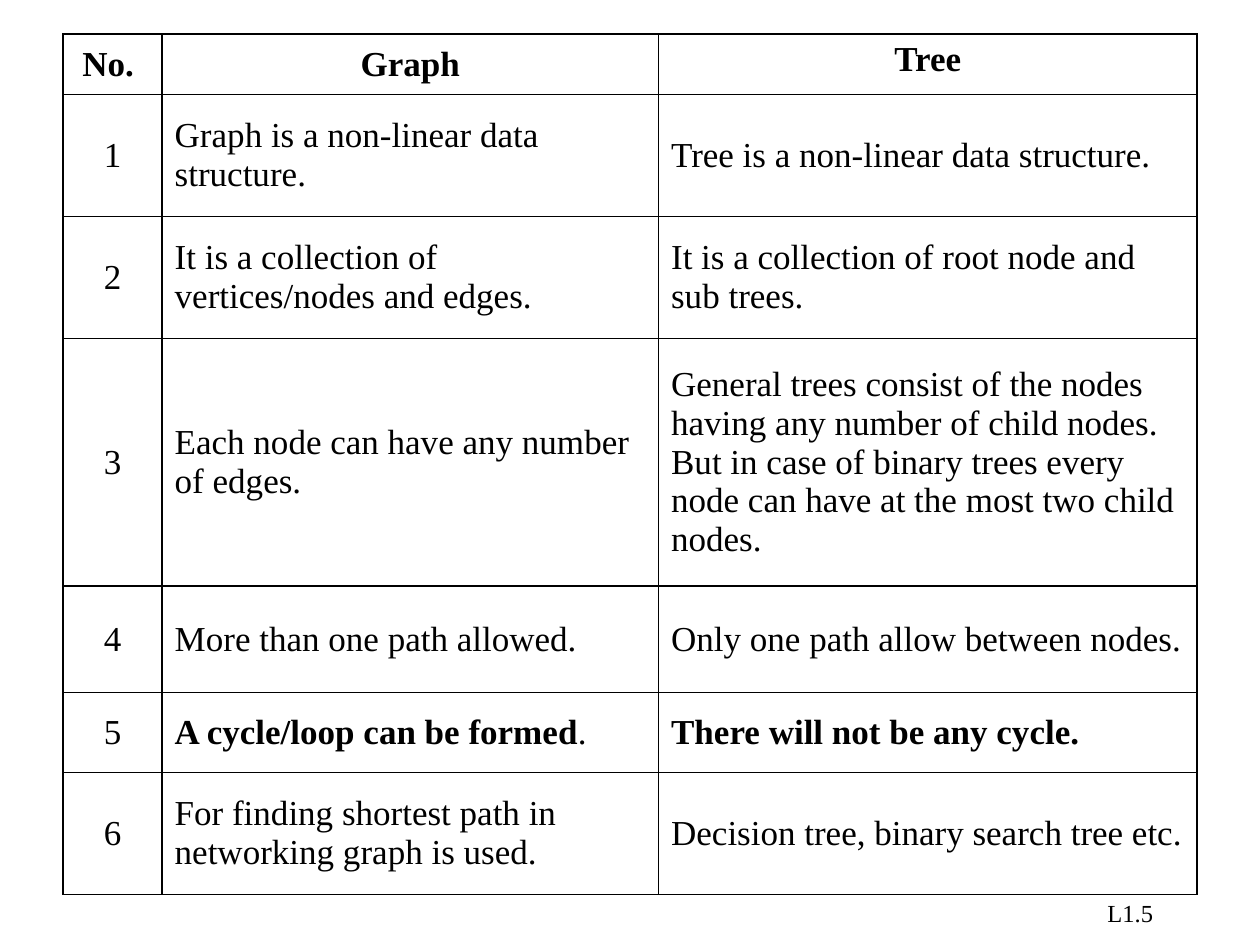
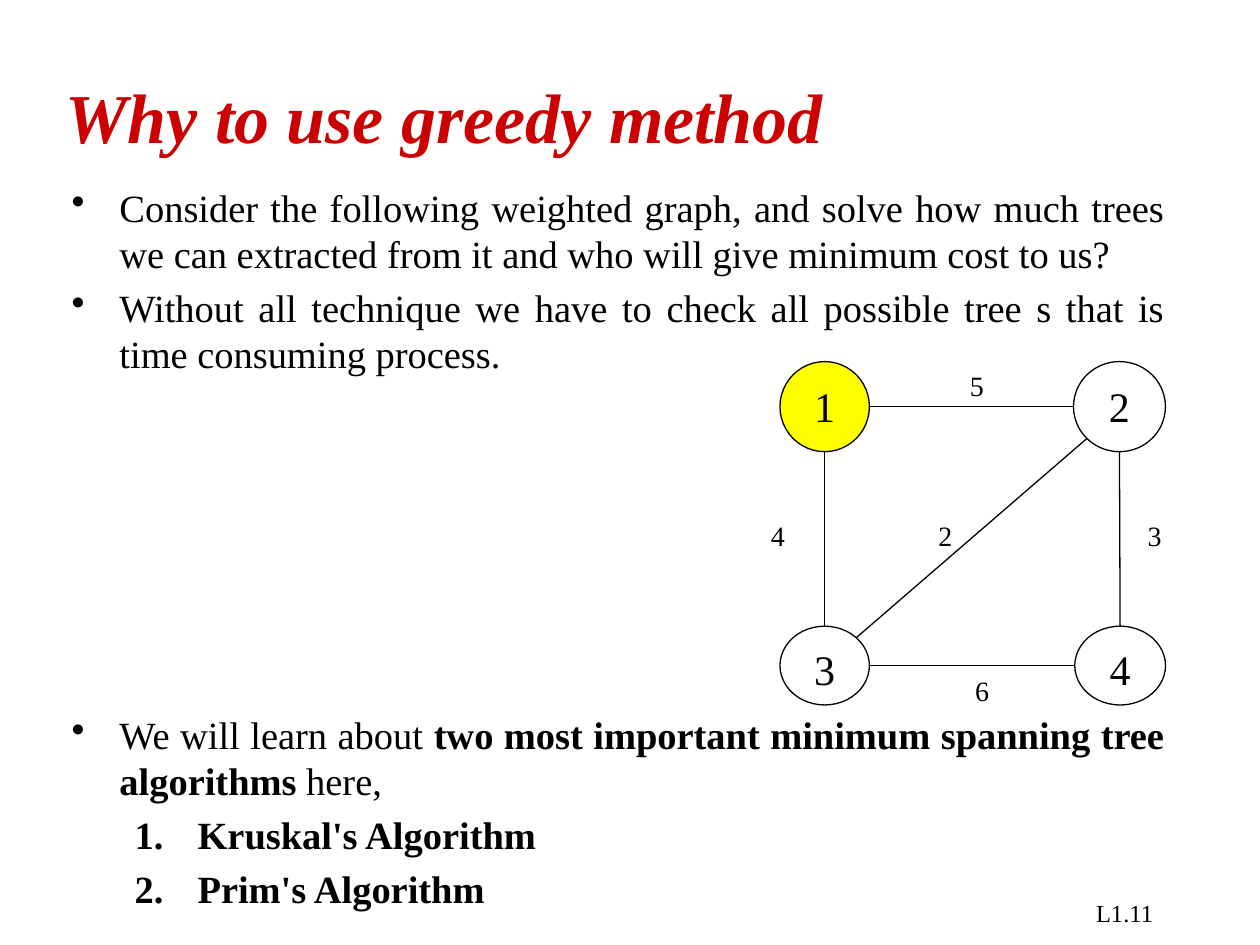
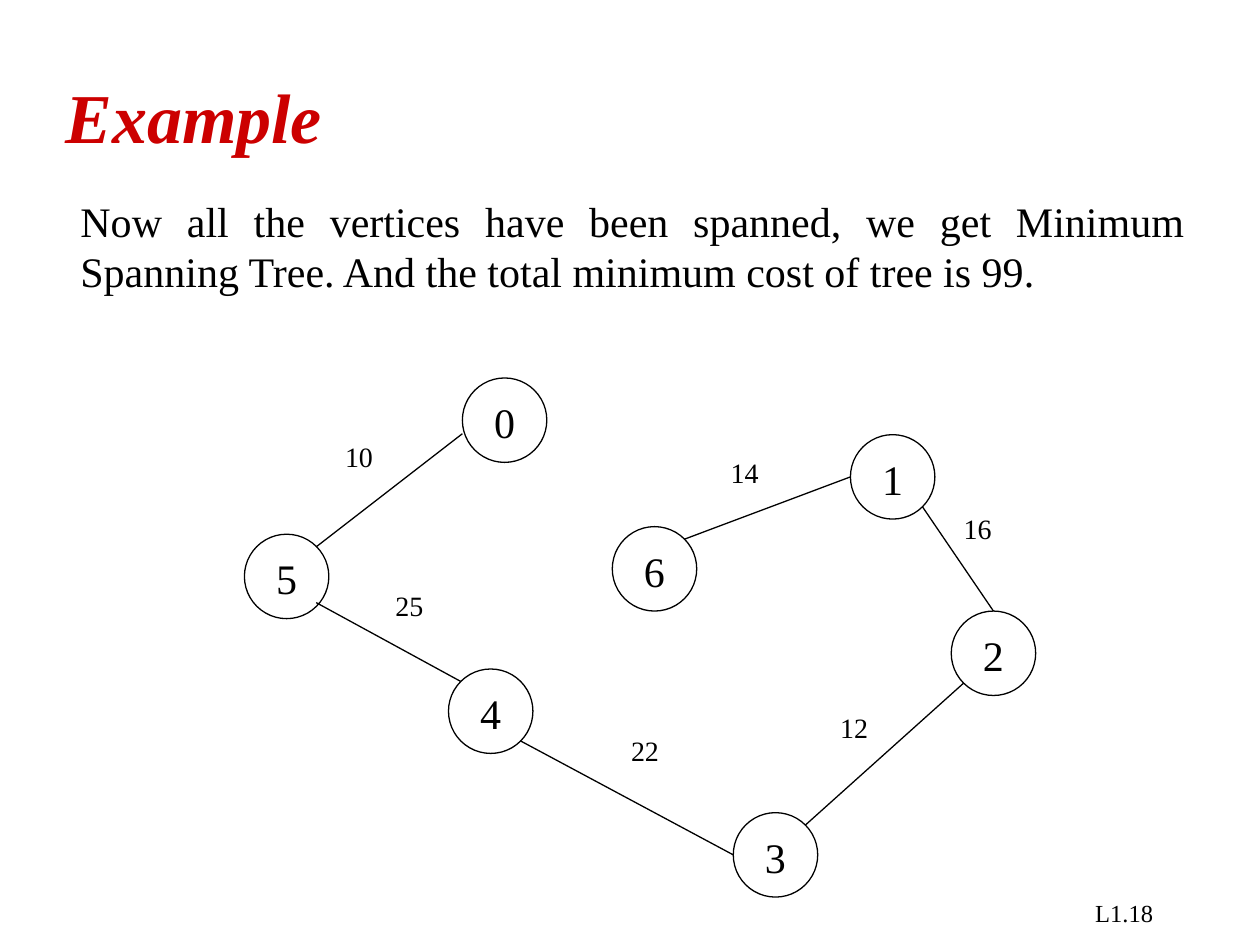
from typing import NamedTuple

from lxml.etree import SubElement
from pptx import Presentation
from pptx.dml.color import RGBColor
from pptx.enum.shapes import MSO_CONNECTOR, MSO_SHAPE
from pptx.enum.text import MSO_ANCHOR as ANCHOR, PP_ALIGN as ALIGN
from pptx.oxml import parse_xml
from pptx.oxml.ns import nsdecls, qn
from pptx.util import Inches, Pt

FONT = "Times New Roman"
BLACK, RED, YELLOW = "000000", "CC0000", "FFFF00"
SLIDE_WIDTH, SLIDE_HEIGHT = Inches(10), Inches(7.5)
UNIT = SLIDE_WIDTH // 100  # square grid: 100 columns by 75 rows
TITLE_ONLY, BLANK = 5, 6


class Box(NamedTuple):
    """An area in grid units."""
    left: float
    top: float
    width: float
    height: float

    def inner(self, left, top, width, height):
        return Box(self.left + left, self.top + top, width, height)

    def spot(self, across, down):
        """Point at the given shares of the width and height."""
        return self.left + across * self.width, self.top + down * self.height

    def emu(self):
        return [grid(value) for value in self]


TITLE_BOX = Box(4.2, 4.2, 93.3, 10)
FOOTER_BOX = Box(71.7, 70.8, 20.8, 2.5)

TOP, BOTTOM, LEFT, RIGHT = (0.5, 0), (0.5, 1), (0, 0.5), (1, 0.5)
TOP_LEFT, TOP_RIGHT = (0.15, 0.15), (0.85, 0.15)
BOTTOM_LEFT, BOTTOM_RIGHT = (0.15, 0.85), (0.85, 0.85)

COMPARISON = [
    ("No. ", "Graph", "Tree"),
    ("1", "Graph is a non-linear data structure.", "Tree is a non-linear data structure."),
    ("2", "It is a collection of vertices/nodes and edges.",
     "It is a collection of root node and sub trees."),
    ("3", "Each node can have any number of edges.",
     "General trees consist of the nodes having any number of child nodes. "
     "But in case of binary trees every node can have at the most two child nodes."),
    ("4", "More than one path allowed.", "Only one path allow between nodes."),
    ("5", "**A cycle/loop can be formed**.", "**There will not be any cycle.**"),
    ("6", "For finding shortest path in networking graph is used.",
     "Decision tree, binary search tree etc."),
]
COLUMN_WIDTHS = [7.87, 39.4, 42.75]
ROW_HEIGHTS = [4.8, 9.55, 9.55, 19.55, 8.45, 6.25, 9.55]
TABLE_BOX = Box(5, 2.7, sum(COLUMN_WIDTHS), sum(ROW_HEIGHTS))

# Each point: text, kind of marker, space before in points
GREEDY_POINTS = [
    ("Consider the following weighted graph, and solve how much trees we can "
     "extracted from it and who will give minimum cost to us?", "bullet", 0),
    ("Without all technique we have to check all possible tree s that is "
     "time consuming process.", "bullet", 4.4),
    ("We will learn about **two most important minimum spanning tree algorithms** here,",
     "bullet", 191.4),
    ("**Kruskal's Algorithm**", "number", 4.4),
    ("**Prim's Algorithm**", "number", 4.4),
]

# Nodes: box within the graph. Edges: node, spot, node, spot, weight, weight's place.
WEIGHTED_NODES = {
    "1": (0, 0, 7.1, 7.15), "2": (23.3, 0, 7.3, 7.15),
    "3": (0, 21, 7.1, 6.25), "4": (23.4, 21, 7.2, 6.25),
}
WEIGHTED_EDGES = [
    ("1", BOTTOM, "3", TOP, "4", (-1.7, 12)),
    ("1", RIGHT, "2", LEFT, "5", (14.1, 0.1)),
    ("2", BOTTOM, "4", TOP, "3", (28.2, 12)),
    ("4", LEFT, "3", RIGHT, "6", (14.5, 24.3)),
    ("2", BOTTOM_LEFT, "3", TOP_RIGHT, "2", (11.6, 12)),
]
SPANNING_NODES = {
    name: (left, top, 6.7, 6.7) for name, left, top in [
        ("0", 17.3, 0), ("1", 48.1, 4.5), ("2", 56.1, 18.5), ("3", 38.8, 34.5),
        ("4", 16.2, 23.1), ("5", 0, 12.4), ("6", 29.2, 11.8)]
}
SPANNING_EDGES = [
    ("0", (0, 0.66), "5", TOP_RIGHT, "10", (7, 4.4)),
    ("5", (0.85, 0.81), "4", TOP_LEFT, "25", (11, 16.2)),
    ("4", BOTTOM_RIGHT, "3", LEFT, "22", (29.7, 27.7)),
    ("3", TOP_RIGHT, "2", BOTTOM_LEFT, "12", (46.3, 25.9)),
    ("2", TOP, "1", BOTTOM_RIGHT, "16", (56.1, 10.1)),
    ("6", TOP_RIGHT, "1", LEFT, "14", (37.6, 5.7)),
]


def grid(value):
    return round(value * UNIT)


def colour(hex_string):
    return RGBColor.from_string(hex_string)


def write(paragraph, text, size, align=ALIGN.LEFT, ink=BLACK, bold=False, italic=False):
    """Fill a paragraph; **double stars** enclose bold words."""
    paragraph.alignment = align
    font = paragraph.font
    font.name, font.size, font.bold, font.italic = FONT, Pt(size), bold, italic
    font.color.rgb = colour(ink)
    for index, part in enumerate(text.split("**")):
        if part:
            run = paragraph.add_run()
            run.text = part
            if index % 2:
                run.font.bold = True


def add_text(slide, box, text, size, align=ALIGN.LEFT):
    frame = slide.shapes.add_textbox(*box.emu()).text_frame
    frame.word_wrap = True
    write(frame.paragraphs[0], text, size, align)


def start_slide(deck, page, title=None):
    slide = deck.slides.add_slide(deck.slide_layouts[TITLE_ONLY if title else BLANK])
    add_text(slide, FOOTER_BOX, page, 14, ALIGN.RIGHT)
    if title:
        heading = slide.shapes.title
        heading.left, heading.top, heading.width, heading.height = TITLE_BOX.emu()
        heading.text_frame.vertical_anchor = ANCHOR.MIDDLE
        write(heading.text_frame.paragraphs[0], title, 40, ink=RED, bold=True, italic=True)
    return slide


def add_borders(cell):
    properties = cell._tc.get_or_add_tcPr()
    for index, side in enumerate("LRTB"):
        properties.insert(index, parse_xml(
            f'<a:ln{side} {nsdecls("a")} w="12700"><a:solidFill>'
            f'<a:srgbClr val="{BLACK}"/></a:solidFill></a:ln{side}>'))


def add_comparison(slide, box):
    table = slide.shapes.add_table(len(ROW_HEIGHTS), len(COLUMN_WIDTHS), *box.emu()).table
    table.first_row = table.horz_banding = False
    for column, width in zip(table.columns, COLUMN_WIDTHS):
        column.width = grid(width)
    for r, (height, texts) in enumerate(zip(ROW_HEIGHTS, COMPARISON)):
        table.rows[r].height = grid(height)
        header = r == 0
        for c, text in enumerate(texts):
            cell = table.cell(r, c)
            cell.fill.background()
            add_borders(cell)
            cell.margin_top = cell.margin_bottom = grid(0.5 if header else 1.5)
            cell.vertical_anchor = ANCHOR.TOP if text == "Tree" else ANCHOR.MIDDLE
            write(cell.text_frame.paragraphs[0], text, 20,
                  ALIGN.CENTER if header or c == 0 else ALIGN.LEFT, bold=header)


def add_marker(paragraph, kind):
    margin, hang = (3.8, 3.8) if kind == "bullet" else (10, 5)
    properties = paragraph._p.get_or_add_pPr()
    properties.set("marL", str(grid(margin)))
    properties.set("indent", str(-grid(hang)))
    if kind == "bullet":
        SubElement(properties, qn("a:buChar")).set("char", "•")
    else:
        SubElement(properties, qn("a:buAutoNum")).set("type", "arabicPeriod")


def add_points(slide, box, points):
    frame = slide.shapes.add_textbox(*box.emu()).text_frame
    frame.word_wrap = True
    for index, (text, kind, gap) in enumerate(points):
        paragraph = frame.add_paragraph() if index else frame.paragraphs[0]
        add_marker(paragraph, kind)
        paragraph.space_before = Pt(gap)
        write(paragraph, text, 22, ALIGN.JUSTIFY)


def add_node(slide, box, name, fill=None):
    node = slide.shapes.add_shape(MSO_SHAPE.OVAL, *box.emu())
    node.shadow.inherit = False
    if fill:
        node.fill.solid()
        node.fill.fore_color.rgb = colour(fill)
    else:
        node.fill.background()
    node.line.color.rgb = colour(BLACK)
    node.line.width = Pt(0.75)
    node.text_frame.vertical_anchor = ANCHOR.TOP
    write(node.text_frame.paragraphs[0], name, 24, ALIGN.CENTER)


def add_edge(slide, start, end):
    edge = slide.shapes.add_connector(
        MSO_CONNECTOR.STRAIGHT, *(grid(value) for value in (*start, *end)))
    edge.line.color.rgb = colour(BLACK)
    edge.line.width = Pt(0.75)
    SubElement(edge._element.spPr, qn("a:effectLst"))


def add_graph(slide, box, nodes, edges, highlighted=None):
    places = {name: box.inner(*place) for name, place in nodes.items()}
    for name, place in places.items():
        add_node(slide, place, name, YELLOW if name == highlighted else None)
    for first, first_spot, second, second_spot, weight, place in edges:
        add_edge(slide, places[first].spot(*first_spot), places[second].spot(*second_spot))
        add_text(slide, box.inner(*place, 1.7 + 1.7 * len(weight), 3.7), weight, 16)


def comparison_slide(deck):
    add_comparison(start_slide(deck, "L1.5"), TABLE_BOX)


def greedy_slide(deck):
    slide = start_slide(deck, "L1.11", "Why to use greedy method")
    add_points(slide, Box(4.7, 14.1, 88.7, 60.7), GREEDY_POINTS)
    add_graph(slide, Box(61.9, 28.7, 30.6, 27.25), WEIGHTED_NODES, WEIGHTED_EDGES, "1")


def example_slide(deck):
    slide = start_slide(deck, "L1.18", "Example")
    add_text(slide, Box(5.4, 15, 89.6, 9.1),
             "Now all the vertices have been spanned, we get Minimum Spanning Tree. "
             "And the total minimum cost of tree is 99.", 24, ALIGN.JUSTIFY)
    add_graph(slide, Box(19.4, 30, 62.8, 41.2), SPANNING_NODES, SPANNING_EDGES)


def main():
    deck = Presentation()
    deck.slide_width, deck.slide_height = SLIDE_WIDTH, SLIDE_HEIGHT
    comparison_slide(deck)
    greedy_slide(deck)
    example_slide(deck)
    deck.save("out.pptx")


if __name__ == "__main__":
    main()
